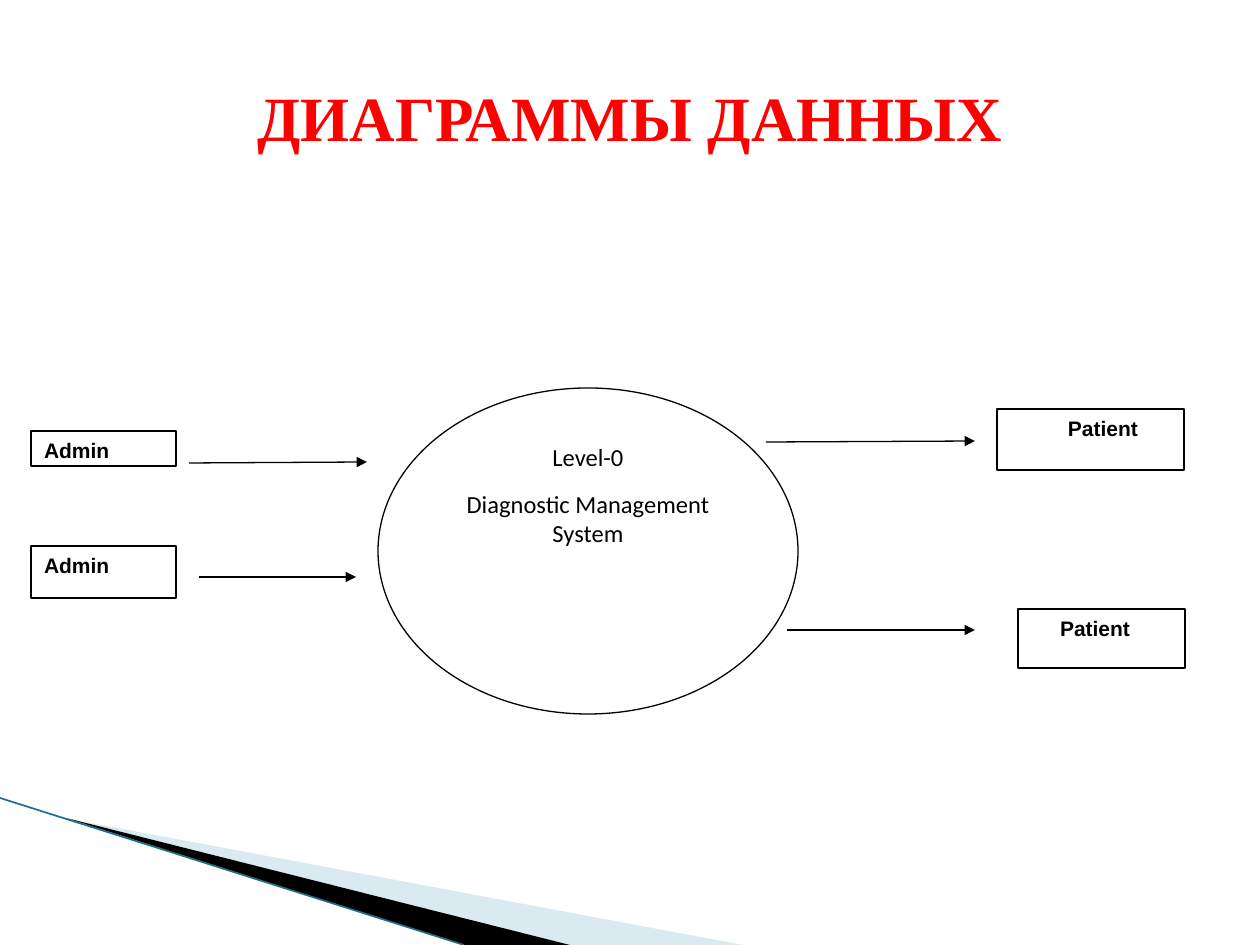
from dataclasses import dataclass

from lxml import etree
from pptx import Presentation
from pptx import util as u
from pptx.dml.color import RGBColor
from pptx.enum import shapes, text
from pptx.oxml.ns import qn

SCALE = 914400 / 126  # EMU in one px
WIDTH, HEIGHT = 1260, 945


def emu(*lengths):
    return [u.Emu(round(length * SCALE)) for length in lengths]


@dataclass(frozen=True)
class Theme:
    ink: str = "000000"
    paper: str = "FFFFFF"
    title: str = "FF0000"
    wedge: str = "A0CBDC"
    edge: str = "1F7086"
    title_font: str = "Times New Roman"
    process_font: str = "Calibri"
    entity_font: str = "Arial"
    title_size: int = 36
    process_size: int = 14
    entity_size: int = 12
    line: float = 0.75
    edge_line: float = 0.95


class Diagram:
    """Draws on one page in the style of a theme."""

    def __init__(self, page, theme):
        self.page = page
        self.theme = theme

    def style_font(self, para, name, size, color, bold=False):
        font = para.font
        font.name, font.size, font.bold = name, u.Pt(size), bold
        font.color.rgb = RGBColor.from_string(color)

    def title(self, words, *place):
        box = self.page.shapes.title
        box.left, box.top, box.width, box.height = emu(*place)
        box.text_frame.text = words
        box.text_frame.vertical_anchor = text.MSO_ANCHOR.MIDDLE
        para = box.text_frame.paragraphs[0]
        para.alignment = text.PP_ALIGN.CENTER
        self.style_font(para, self.theme.title_font, self.theme.title_size,
                        self.theme.title, bold=True)

    def wedge(self, points, color, opacity=100):
        builder = self.page.shapes.build_freeform(*points[0], scale=SCALE)
        builder.add_line_segments(points[1:], close=True)
        shape = builder.convert_to_shape()
        shape.shadow.inherit = False
        shape.fill.solid()
        shape.fill.fore_color.rgb = RGBColor.from_string(color)
        shape.line.fill.background()
        if opacity < 100:
            tint = shape.fill._xPr.find(".//" + qn("a:srgbClr"))
            etree.SubElement(tint, qn("a:alpha"), val=str(opacity * 1000))

    def outlined(self, kind, place):
        shape = self.page.shapes.add_shape(kind, *emu(*place))
        shape.shadow.inherit = False
        shape.fill.solid()
        shape.fill.fore_color.rgb = RGBColor.from_string(self.theme.paper)
        shape.line.color.rgb = RGBColor.from_string(self.theme.ink)
        shape.line.width = u.Pt(self.theme.line)
        shape.text_frame.word_wrap = True
        shape.text_frame.vertical_anchor = text.MSO_ANCHOR.TOP
        return shape

    def process(self, lines, *place):
        frame = self.outlined(shapes.MSO_SHAPE.OVAL, place).text_frame
        frame.text = "\n".join(lines)
        for para in frame.paragraphs:
            para.alignment = text.PP_ALIGN.CENTER
            para.space_after = u.Pt(10)
            self.style_font(para, self.theme.process_font,
                            self.theme.process_size, self.theme.ink)

    def entity(self, name, *place, inset=13):
        frame = self.outlined(shapes.MSO_SHAPE.RECTANGLE, place).text_frame
        frame.margin_left, = emu(inset)
        frame.text = name
        para = frame.paragraphs[0]
        para.alignment = text.PP_ALIGN.JUSTIFY
        self.style_font(para, self.theme.entity_font, self.theme.entity_size,
                        self.theme.ink, bold=True)

    def line(self, ends, color, width):
        line = self.page.shapes.add_connector(
            shapes.MSO_CONNECTOR.STRAIGHT, *emu(*ends))
        line.line.color.rgb = RGBColor.from_string(color)
        line.line.width = u.Pt(width)
        etree.SubElement(line._element.spPr, qn("a:effectLst"))
        return line

    def arrow(self, *ends):
        arrow = self.line(ends, self.theme.ink, self.theme.line)
        etree.SubElement(arrow.line._get_or_add_ln(), qn("a:tailEnd"),
                         type="triangle")


def main():
    deck = Presentation()
    deck.slide_width, deck.slide_height = emu(WIDTH, HEIGHT)
    page = deck.slides.add_slide(deck.slide_layouts[5])
    theme = Theme()
    diagram = Diagram(page, theme)

    diagram.wedge([(69, 819), (743, HEIGHT), (570, HEIGHT)], theme.wedge, 40)
    diagram.wedge([(66, 818), (570, HEIGHT), (464, HEIGHT)], theme.ink)
    diagram.line((0, 798, 464, HEIGHT), theme.edge, theme.edge_line)

    diagram.title("ДИАГРАММЫ ДАННЫХ", 63, 38, 1134, 157)
    diagram.process(["Level-0", "Diagnostic Management System"],
                    378, 388, 420, 326)

    diagram.entity("Admin", 31, 431, 145, 35)
    diagram.entity("Admin", 31, 546, 145, 52)
    diagram.entity("Patient", 997, 409, 187, 61, inset=71)
    diagram.entity("Patient", 1018, 609, 167, 59, inset=42)

    diagram.arrow(189, 463, 367, 462)
    diagram.arrow(199, 577, 356, 577)
    diagram.arrow(766, 442, 975, 441)
    diagram.arrow(787, 630, 975, 630)

    deck.save("out.pptx")


if __name__ == "__main__":
    main()
